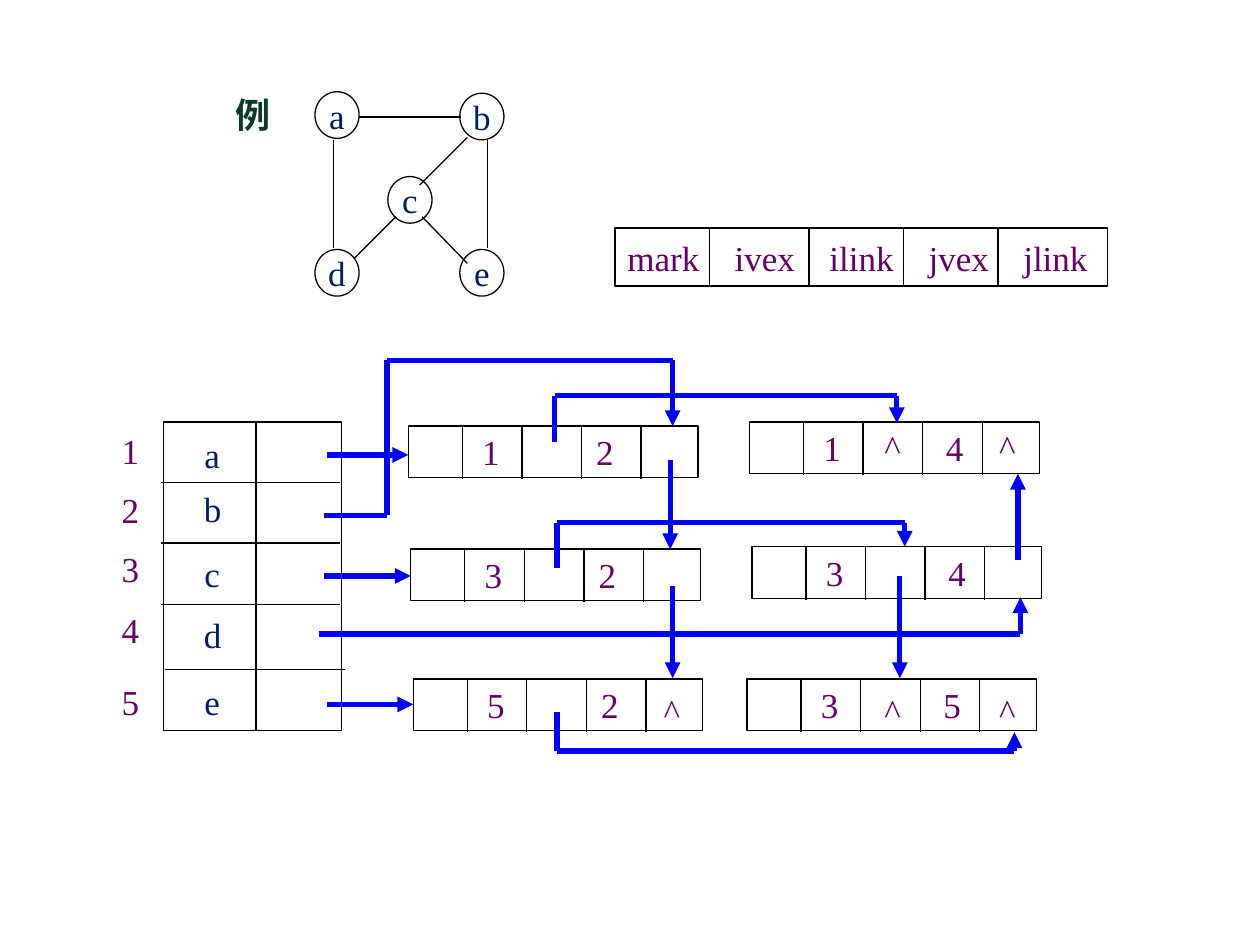
from lxml import etree
from pptx import Presentation
from pptx import util as u
from pptx.dml.color import RGBColor
from pptx.enum import shapes, text
from pptx.oxml.ns import qn

COLOURS = {"title": "0B3B27", "vertex": "002060", "field": "660066",
           "outline": "000000", "pointer": "0000FF"}
RECT = shapes.MSO_SHAPE.RECTANGLE
OVAL = shapes.MSO_SHAPE.OVAL

deck = Presentation()
deck.slide_width, deck.slide_height = u.Cm(25.4), u.Cm(19.05)
page = deck.slides.add_slide(deck.slide_layouts[6])


def write(content, left, top, width, height, kind=None, colour="field",
          font="Times New Roman", bold=False, centred=True, wrap=False,
          anchor=text.MSO_ANCHOR.MIDDLE, inset=0.25, tabs=()):
    """Add a text box, or an outlined shape of the given kind, with its text."""
    area = [u.Cm(value) for value in (left, top, width, height)]
    if kind is None:
        box = page.shapes.add_textbox(*area)
    else:
        box = page.shapes.add_shape(kind, *area)
        box.shadow.inherit = False
        box.fill.background()
        box.line.color.rgb = RGBColor.from_string(COLOURS["outline"])
        box.line.width = u.Pt(0.75)
    if not content:
        return
    frame = box.text_frame
    frame.word_wrap = wrap
    frame.vertical_anchor = anchor
    frame.margin_left = u.Cm(inset)
    para = frame.paragraphs[0]
    para.alignment = text.PP_ALIGN.CENTER if centred else text.PP_ALIGN.LEFT
    if tabs:
        stops = etree.SubElement(para._p.get_or_add_pPr(), qn("a:tabLst"))
        for stop in tabs:
            etree.SubElement(stops, qn("a:tab"), pos=str(u.Cm(stop)), algn="l")
    span = para.add_run()
    span.text = content
    span.font.size = u.Pt(20)
    span.font.bold = bold
    span.font.color.rgb = RGBColor.from_string(COLOURS[colour])
    span.font.name = font
    etree.SubElement(span._r.get_or_add_rPr(), qn("a:ea"), typeface=font)


def connect(*points, colour="outline", weight=0.75, arrow=False):
    """Join the points with straight lines, with an arrowhead at the end if asked."""
    for start, end in zip(points, points[1:]):
        line = page.shapes.add_connector(
            shapes.MSO_CONNECTOR.STRAIGHT, *[u.Cm(value) for value in start + end])
        line.line.color.rgb = RGBColor.from_string(COLOURS[colour])
        line.line.width = u.Pt(weight)
        if arrow and end == points[-1]:
            etree.SubElement(line.line._get_or_add_ln(), qn("a:tailEnd"), type="triangle")
        etree.SubElement(line._element.spPr, qn("a:effectLst"))


# Graph
write("例", 4.5, 1.75, 1.22, 1.12, colour="title", font="Noto Sans CJK SC", bold=True)
vertices = {"a": (6.35, 1.85), "b": (9.27, 1.88), "c": (7.82, 3.56),
            "d": (6.35, 5.03), "e": (9.27, 5.03)}
for name, (left, top) in vertices.items():
    write(name, left, top, 0.89, 0.94, kind=OVAL, colour="vertex")
edges = [
    [(7.24, 2.36), (9.3, 2.36)],
    [(6.73, 2.82), (6.73, 5.0)],
    [(9.83, 2.82), (9.83, 5.0)],
    [(8.51, 4.37), (9.42, 5.31)],
    [(9.42, 2.77), (8.46, 3.73)],
    [(7.98, 4.37), (7.14, 5.21)],
]
for edge in edges:
    connect(*edge)

# Layout of an edge node
write("mark\tivex\tilink\tjvex\tjlink", 12.4, 4.6, 9.93, 1.17, kind=RECT,
      centred=False, wrap=True, tabs=(2.16, 4.07, 6.07, 7.98))
for x in (14.3, 16.31, 18.21, 20.12):
    connect((x, 4.62), (x, 5.78))

# Vertex list
write("", 3.3, 8.51, 3.58, 6.22, kind=RECT)
connect((5.16, 8.51), (5.16, 14.73))
for y in (9.73, 10.95, 12.19):
    connect((3.25, y), (6.86, y))
connect((3.33, 13.49), (6.96, 13.49))
rows = [("a", 8.53, 8.61), ("b", 9.73, 9.7), ("c", 10.92, 11.02),
        ("d", 12.14, 12.24), ("e", 13.59, 13.59)]
for number, (name, number_top, name_top) in enumerate(rows, 1):
    write(str(number), 2.2, number_top, 0.86, 1.09)
    write(name, 3.86, name_top, 0.84, 1.09, colour="vertex")

# Edge nodes: left, top, ivex, jvex, distance from ivex to jvex
nodes = [
    (8.23, 8.59, 1, 2, 2.3), (15.11, 8.51, 1, 4, 2.47),
    (8.28, 11.07, 3, 2, 2.3), (15.16, 11.02, 3, 4, 2.47),
    (8.33, 13.69, 5, 2, 2.3), (15.06, 13.69, 3, 5, 2.47),
]
for left, top, ivex, jvex, gap in nodes:
    write(f"{ivex}\t{jvex}", left, top, 5.84, 1.04, kind=RECT,
          centred=False, wrap=True, inset=1.49, tabs=(gap,))
    for column in range(4):
        x = left + 1.09 + 1.2 * column
        connect((x, top), (x, top + 1.07))

# Pointers
pointers = [
    [(6.6, 9.17), (8.23, 9.17)],
    [(6.53, 11.61), (8.28, 11.61)],
    [(6.6, 14.2), (8.33, 14.2)],
    [(11.18, 8.92), (11.18, 7.98), (18.08, 7.98), (18.08, 8.53)],
    [(6.53, 10.39), (7.8, 10.39), (7.8, 7.26), (13.56, 7.26), (13.56, 8.59)],
    [(13.51, 9.27), (13.51, 11.07)],
    [(13.56, 11.81), (13.56, 13.67)],
    [(11.23, 11.46), (11.23, 10.54), (18.24, 10.54), (18.24, 11.02)],
    [(18.14, 11.61), (18.14, 13.67)],
    [(6.43, 12.78), (20.57, 12.78), (20.57, 12.04)],
    [(20.52, 11.28), (20.52, 9.55)],
    [(11.23, 14.35), (11.23, 15.14), (20.45, 15.14), (20.45, 14.76)],
]
for pointer in pointers:
    connect(*pointer, colour="pointer", weight=3, arrow=True)

# Null links
for left, top in [(17.58, 8.46), (19.89, 8.46), (13.13, 13.77),
                  (17.58, 13.77), (19.89, 13.77)]:
    write("^", left, top, 0.84, 1.09, centred=False, anchor=text.MSO_ANCHOR.TOP)

deck.save("out.pptx")
